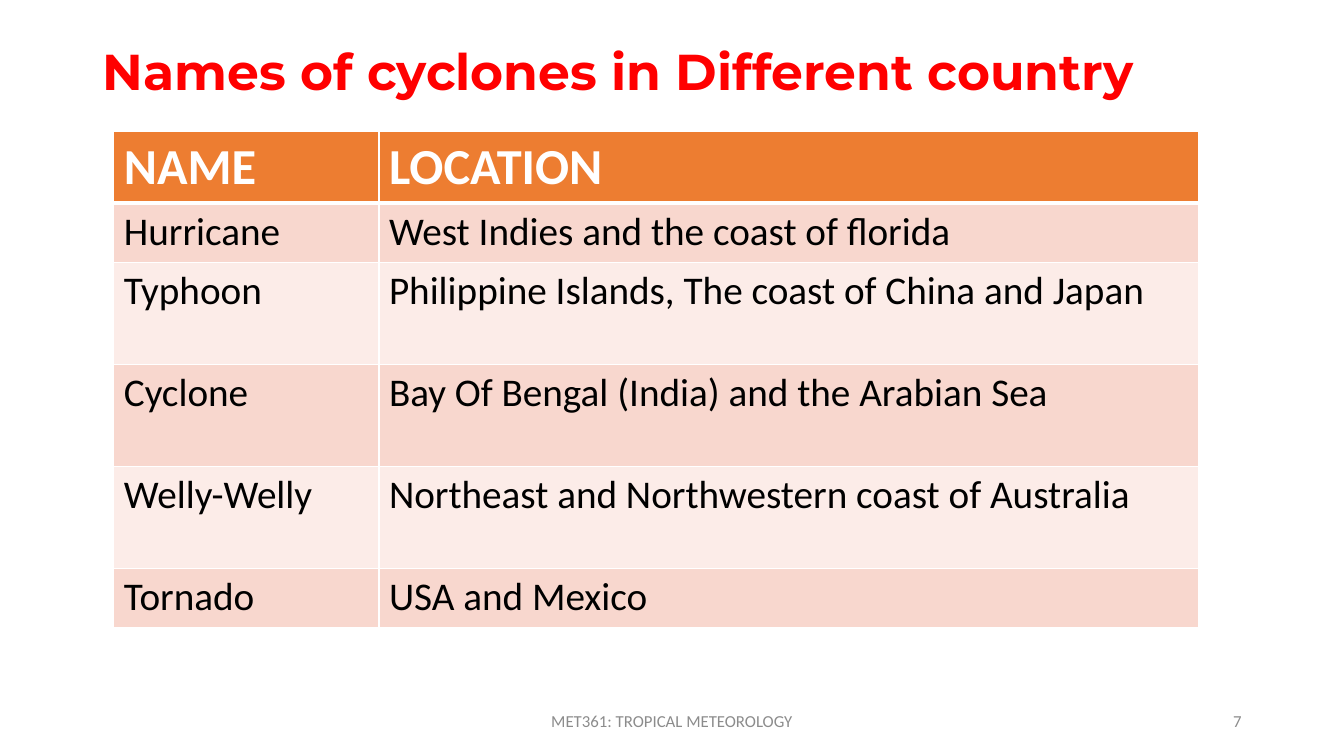
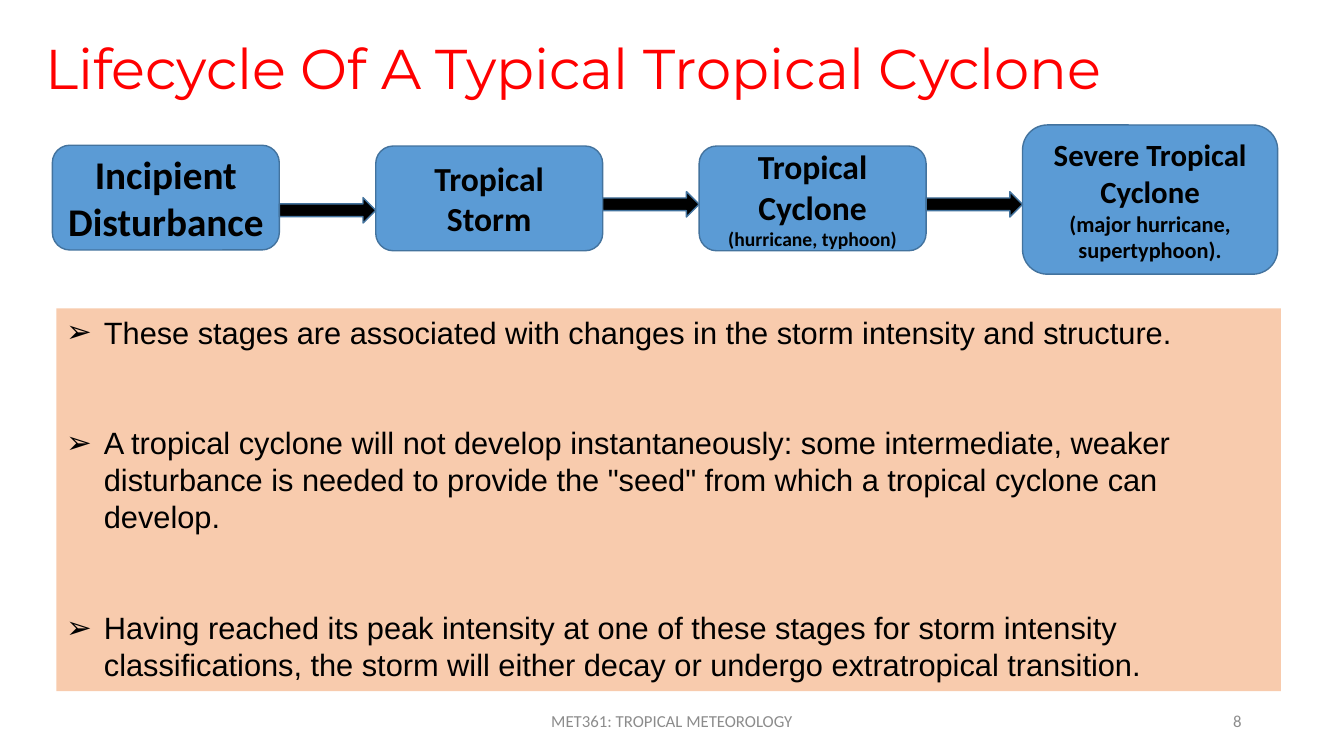
from dataclasses import dataclass
from typing import NamedTuple

from lxml.etree import SubElement
from pptx import Presentation
from pptx.dml.color import RGBColor as Rgb
from pptx.enum.shapes import MSO_SHAPE as Kind
from pptx.enum.text import MSO_ANCHOR as Anchor, MSO_AUTO_SIZE as Fit, PP_ALIGN as Align
from pptx.oxml.ns import qn
from pptx.util import Cm, Pt


@dataclass(frozen=True)
class Theme:
    red: str = "FF0000"
    black: str = "000000"
    white: str = "FFFFFF"
    grey: str = "8C8C8C"
    orange: str = "ED7D31"
    bands: tuple = ("F8D7CE", "FCECE8")
    peach: str = "F8CBAD"
    blue: str = "5B9BD5"
    edge: str = "43739E"
    head: str = "Montserrat"
    body: str = "Calibri"
    plain: str = "Arial"
    small: float = 12
    point: float = 22
    cell: float = 28
    large: float = 36
    huge: float = 40
    pitch: float = 26.4


class Box(NamedTuple):
    left: float
    top: float
    width: float
    height: float

    def lengths(self) -> list:
        return [Cm(n) for n in self]


class Line(NamedTuple):
    text: str
    size: float


class Stage(NamedTuple):
    top: float
    width: float
    height: float
    lines: list


THEME = Theme()
FOOTER = "MET361: TROPICAL METEOROLOGY"
FOOT_TOP, FOOT_HIGH = 17.65, 1.02

NAMES = [
    ("NAME", "LOCATION"),
    ("Hurricane", "West Indies and the coast of florida"),
    ("Typhoon", "Philippine Islands, The coast of China and Japan"),
    ("Cyclone", "Bay Of Bengal (India) and the Arabian Sea"),
    ("Welly-Welly", "Northeast and Northwestern coast of Australia"),
    ("Tornado", "USA and Mexico"),
]
COLS = (6.68, 20.65)
ROWS = (1.5, 1.5, 2.57, 2.57, 2.57, 1.5)

STAGE_LEFT, STAGE_STEP, STAGE_WIDE = 1.32, 8.15, 5.72
STAGES = [
    Stage(3.66, STAGE_WIDE, 2.64, [Line("Incipient Disturbance", 28)]),
    Stage(3.68, STAGE_WIDE, 2.64, [Line("Tropical Storm", 24)]),
    Stage(3.68, STAGE_WIDE, 2.64,
          [Line("Tropical Cyclone", 24), Line("(hurricane, typhoon)", 14)]),
    Stage(3.15, 6.43, 3.76,
          [Line("Severe Tropical Cyclone", 22),
           Line("(major hurricane, supertyphoon).", 16)]),
]
ARROW_TOPS = (4.98, 4.83, 4.83)
ARROW_HIGH = 0.64

POINTS = [
    "These stages are associated with changes in the storm intensity and structure.",
    "A tropical cyclone will not develop instantaneously: some intermediate, weaker "
    "disturbance is needed to provide the \"seed\" from which a tropical cyclone can develop.",
    "Having reached its peak intensity at one of these stages for storm intensity "
    "classifications, the storm will either decay or undergo extratropical transition.",
]


def write(frame, lines: list, color: str, face: str = THEME.body,
          bold: bool = False, align=Align.LEFT, anchor=Anchor.MIDDLE) -> None:
    frame.word_wrap = True
    frame.auto_size = Fit.NONE
    frame.vertical_anchor = anchor
    frame.text = "\n".join(line.text for line in lines)
    for para, line in zip(frame.paragraphs, lines):
        para.alignment = align
        for run in para.runs:
            style(run.font, line.size, color, face, bold)


def style(font, size: float, color: str, face: str, bold: bool) -> None:
    font.size, font.name, font.bold = Pt(size), face, bold
    font.color.rgb = Rgb.from_string(color)


def add_shape(slide, kind, box: Box, fill: str, edge: str = ""):
    shape = slide.shapes.add_shape(kind, *box.lengths())
    shape.shadow.inherit = False
    shape.fill.solid()
    shape.fill.fore_color.rgb = Rgb.from_string(fill)
    if edge:
        shape.line.color.rgb = Rgb.from_string(edge)
        shape.line.width = Pt(1)
    else:
        shape.line.fill.background()
    return shape


def add_slide(deck, title: Line, box: Box, bold: bool, number: int):
    """Add a slide with its title, footer and page number."""
    slide = deck.slides.add_slide(deck.slide_layouts[5])
    head = slide.shapes.title
    head.left, head.top, head.width, head.height = box.lengths()
    write(head.text_frame, [title], THEME.red, THEME.head, bold)
    head.text_frame.paragraphs[0].line_spacing = 0.9
    for text, left, width, align in (
        (FOOTER, 11.22, 11.43, Align.CENTER),
        (str(number), 23.92, 7.62, Align.RIGHT),
    ):
        note = slide.shapes.add_textbox(*Box(left, FOOT_TOP, width, FOOT_HIGH).lengths())
        write(note.text_frame, [Line(text, THEME.small)], THEME.grey, align=align)
    return slide


def set_edges(cell, top: float, foot: float) -> None:
    """Draw white cell borders, 1 pt at the sides."""
    props = cell._tc.get_or_add_tcPr()
    for tag, width in (("lnL", 1), ("lnR", 1), ("lnT", top), ("lnB", foot)):
        edge = SubElement(props, qn(f"a:{tag}"), w=str(Pt(width)))
        fill = SubElement(edge, qn("a:solidFill"))
        SubElement(fill, qn("a:srgbClr"), val=THEME.white)


def add_names(slide) -> None:
    box = Box(2.87, 3.3, sum(COLS), sum(ROWS))
    table = slide.shapes.add_table(len(ROWS), len(COLS), *box.lengths()).table
    table.horz_banding = False
    for col, width in zip(table.columns, COLS):
        col.width = Cm(width)
    for i, (row, height, texts) in enumerate(zip(table.rows, ROWS, NAMES)):
        row.height = Cm(height)
        head = i == 0
        fill = THEME.orange if head else THEME.bands[(i - 1) % 2]
        size = THEME.large if head else THEME.cell
        color = THEME.white if head else THEME.black
        for cell, text in zip(row.cells, texts):
            set_edges(cell, 3 if i == 1 else 1, 3 if head else 1)
            cell.fill.solid()
            cell.fill.fore_color.rgb = Rgb.from_string(fill)
            cell.text_frame.text = text
            style(cell.text_frame.paragraphs[0].runs[0].font,
                  size, color, THEME.body, head)


def add_points(slide) -> None:
    panel = add_shape(slide, Kind.RECTANGLE, Box(1.42, 7.77, 30.86, 9.65), THEME.peach)
    write(panel.text_frame, [Line(text, THEME.point) for text in POINTS],
          THEME.black, THEME.plain, anchor=Anchor.TOP)
    paras = panel.text_frame.paragraphs
    for para in paras:
        para.line_spacing = Pt(THEME.pitch)
        props = para._p.get_or_add_pPr()
        props.set("marL", str(Cm(0.95)))
        props.set("indent", str(Cm(-0.95)))
    for para in paras[:-1]:
        para.space_after = Pt(2 * THEME.pitch)
    for para in paras:
        props = para._p.get_or_add_pPr()
        SubElement(props, qn("a:buFont"), typeface=THEME.plain)
        SubElement(props, qn("a:buChar"), char="➢")


def add_stages(slide) -> None:
    for i, stage in enumerate(STAGES):
        left = STAGE_LEFT + i * STAGE_STEP
        box = Box(left, stage.top, stage.width, stage.height)
        shape = add_shape(slide, Kind.ROUNDED_RECTANGLE, box, THEME.blue, THEME.edge)
        write(shape.text_frame, stage.lines, THEME.black, bold=True, align=Align.CENTER)
    for i, top in enumerate(ARROW_TOPS):
        left = STAGE_LEFT + i * STAGE_STEP + STAGE_WIDE
        box = Box(left, top, STAGE_STEP - STAGE_WIDE, ARROW_HIGH)
        add_shape(slide, Kind.RIGHT_ARROW, box, THEME.black, THEME.edge)


def main() -> None:
    deck = Presentation()
    deck.slide_width, deck.slide_height = Cm(33.87), Cm(19.05)
    names = add_slide(deck, Line("Names of cyclones in Different country", THEME.large),
                      Box(2.34, 1.02, 29.21, 1.68), True, 7)
    add_names(names)
    cycle = add_slide(deck, Line("Lifecycle Of A Typical Tropical Cyclone", THEME.huge),
                      Box(0.89, -0.03, 32.64, 3.68), False, 8)
    add_points(cycle)
    add_stages(cycle)
    deck.save("out.pptx")


if __name__ == "__main__":
    main()
